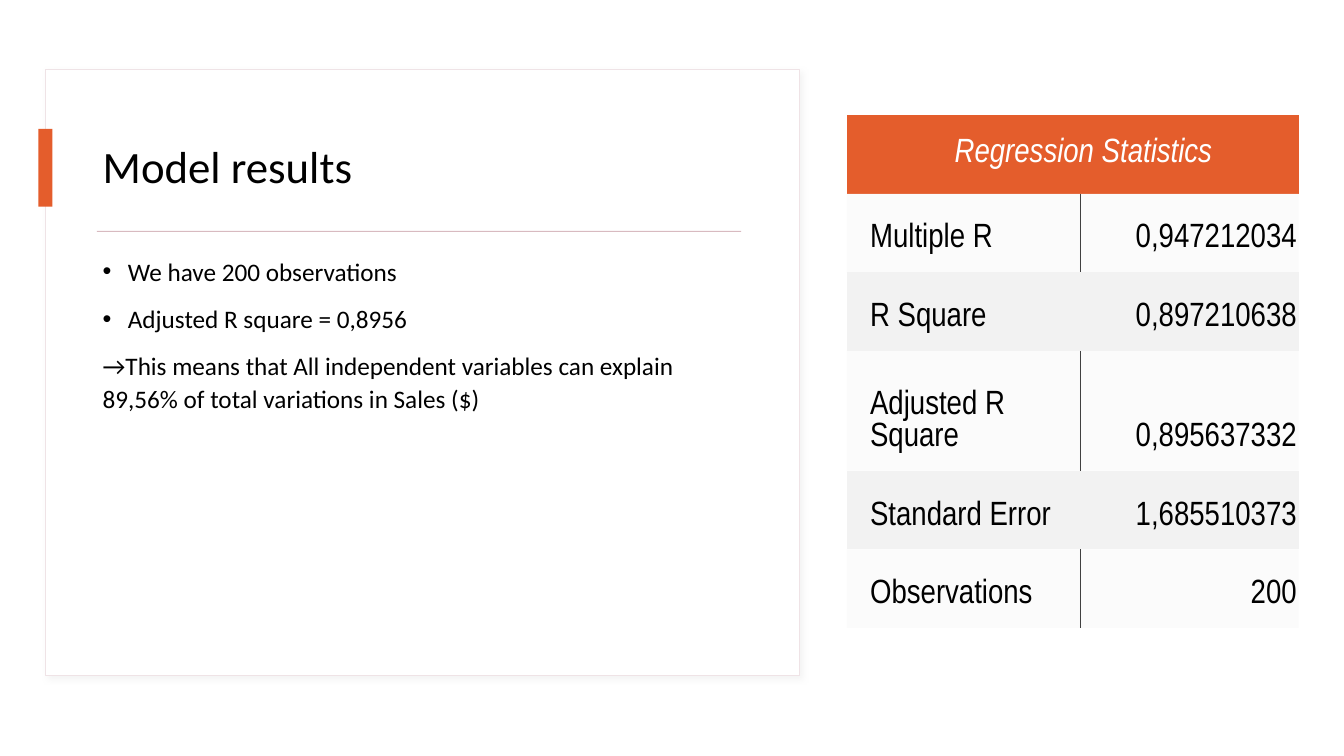
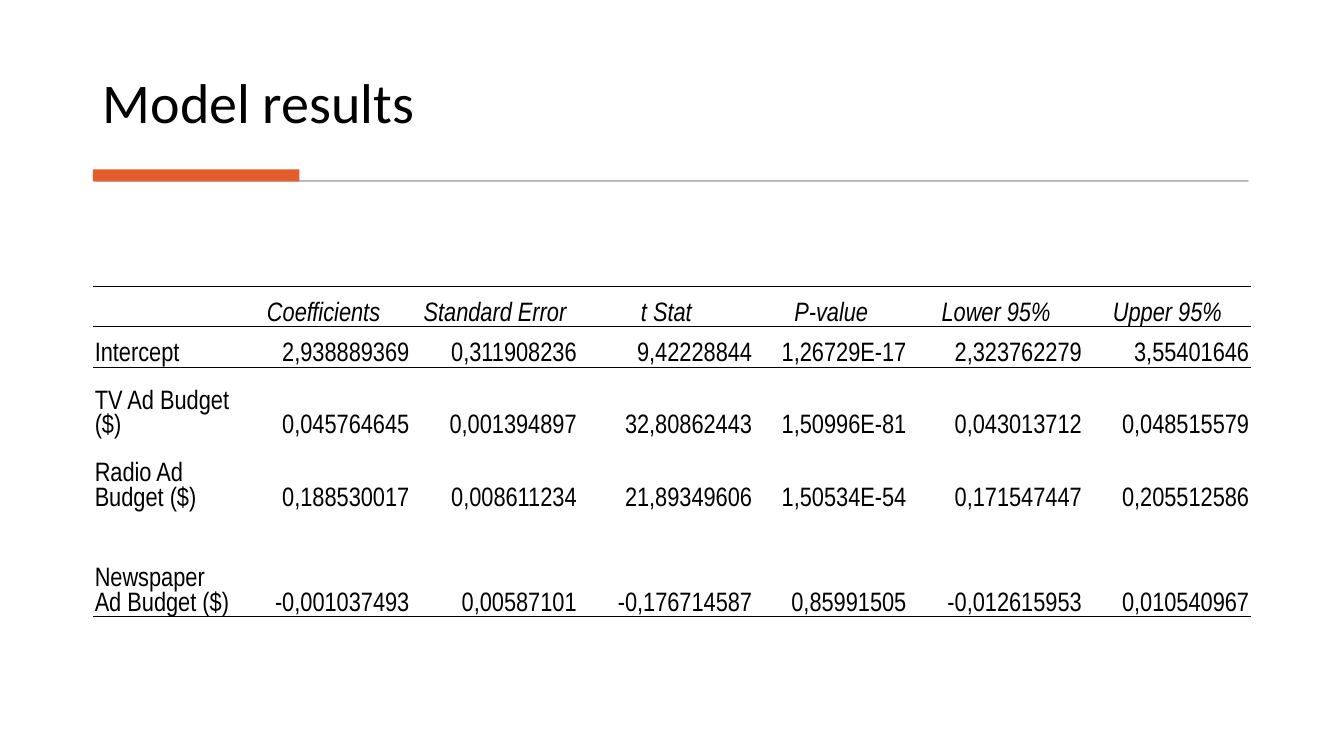
from dataclasses import dataclass
from typing import Optional

from lxml import etree
from pptx import Presentation
from pptx.dml.color import RGBColor
from pptx.enum.shapes import MSO_SHAPE as Shape
from pptx.enum.text import MSO_ANCHOR as Anchor, PP_ALIGN as Align
from pptx.oxml import parse_xml
from pptx.oxml.ns import nsdecls, qn
from pptx.util import Inches, Pt

ACCENT, BLACK, WHITE = "E45D2C", "000000", "FFFFFF"
BAND, CARD_LINE, CARD_RULE = "F2F2F2", "EFE3E6", "D8BAC0"
GREY, DIVIDER, SHADOW = "595959", "404040", "D9D9D9"
TEXT_FONT, TABLE_FONT = "Calibri", "Arial Narrow"
NO_STYLE_NO_GRID = "{2D5ABB26-0587-4C30-8999-92F81FD0307C}"


@dataclass(frozen=True)
class Box:
    left: float
    top: float
    width: float
    height: float

    def emu(self) -> tuple:
        return tuple(Inches(v) for v in (self.left, self.top, self.width, self.height))


@dataclass(frozen=True)
class Paint:
    color: str
    alpha: int = 100


@dataclass(frozen=True)
class Border:
    sides: str
    color: str
    width: float


@dataclass(frozen=True)
class CellStyle:
    align: Align = Align.LEFT
    anchor: Anchor = Anchor.BOTTOM
    color: str = BLACK
    italic: bool = False
    fill: Optional[Paint] = None
    borders: tuple[Border, ...] = ()


@dataclass(frozen=True)
class TableFormat:
    size: float
    margins: tuple[float, float, float, float]  # left, top, right, bottom


def rgb(color: str) -> RGBColor:
    return RGBColor.from_string(color)


def paint(fill, p: Paint) -> None:
    fill.solid()
    fill.fore_color.rgb = rgb(p.color)
    if p.alpha < 100:
        # python-pptx has no alpha property, so it goes on the colour element
        clr = fill._xPr.find(".//" + qn("a:srgbClr"))
        etree.SubElement(clr, qn("a:alpha"), val=str(p.alpha * 1000))


def add_rect(s, box: Box, fill: Paint, line: Optional[Paint] = None):
    sp = s.shapes.add_shape(Shape.RECTANGLE, *box.emu())
    sp.shadow.inherit = False
    paint(sp.fill, fill)
    if line:
        sp.line.width = Pt(0.75)
        paint(sp.line.fill, line)
    else:
        sp.line.fill.background()
    return sp


def add_soft_shadow(sp) -> None:
    effects = sp._element.spPr.find(qn("a:effectLst"))
    effects.append(parse_xml(
        f'<a:outerShdw {nsdecls("a")} blurRad="{Pt(4)}" dist="{Pt(3)}" dir="2700000" '
        f'algn="tl" rotWithShape="0"><a:srgbClr val="{SHADOW}">'
        '<a:alpha val="30000"/></a:srgbClr></a:outerShdw>'))


def add_run(p, text: str, font: str, size: float, color: str = BLACK,
            italic: bool = False) -> None:
    r = p.add_run()
    r.text = text
    r.font.name, r.font.size, r.font.italic = font, Pt(size), italic
    r.font.color.rgb = rgb(color)


def add_text_frame(s, box: Box, anchor: Anchor):
    tf = s.shapes.add_textbox(*box.emu()).text_frame
    tf.word_wrap = True
    tf.vertical_anchor = anchor
    return tf


def add_title(s, text: str, box: Box, size: float, anchor: Anchor) -> None:
    p = add_text_frame(s, box, anchor).paragraphs[0]
    p.line_spacing = 0.9
    add_run(p, text, TEXT_FONT, size)


def add_bullet(p) -> None:
    pPr = p._p.get_or_add_pPr()
    pPr.set("marL", str(Inches(0.25)))
    pPr.set("indent", str(-Inches(0.25)))
    pPr.append(parse_xml(f'<a:buFont {nsdecls("a")} typeface="Arial"/>'))
    pPr.append(parse_xml(f'<a:buChar {nsdecls("a")} char="•"/>'))


def add_body(s, box: Box, bullets: list[str], conclusion: str) -> None:
    tf = add_text_frame(s, box, Anchor.TOP)
    for i, text in enumerate([*bullets, conclusion]):
        p = tf.paragraphs[0] if i == 0 else tf.add_paragraph()
        p.line_spacing = 1.1
        p.space_before = Pt(10)
        if i < len(bullets):
            add_bullet(p)
        add_run(p, text, TEXT_FONT, 18)


def set_borders(cell, borders: tuple[Border, ...]) -> None:
    """Put the border lines before the fill, in the order L, R, T, B."""
    tcPr = cell._tc.get_or_add_tcPr()
    by_side = {side: b for b in borders for side in b.sides}
    lines = [parse_xml(
        f'<a:ln{side} {nsdecls("a")} w="{Pt(by_side[side].width)}"><a:solidFill>'
        f'<a:srgbClr val="{by_side[side].color}"/></a:solidFill></a:ln{side}>')
        for side in "LRTB" if side in by_side]
    for i, line in enumerate(lines):
        tcPr.insert(i, line)


def fill_cell(cell, text: str, style: CellStyle, fmt: TableFormat) -> None:
    (cell.margin_left, cell.margin_top,
     cell.margin_right, cell.margin_bottom) = (Inches(m) for m in fmt.margins)
    cell.vertical_anchor = style.anchor
    if style.fill:
        paint(cell.fill, style.fill)
    else:
        cell.fill.background()
    set_borders(cell, style.borders)
    p = cell.text_frame.paragraphs[0]
    p.alignment = style.align
    if text:
        add_run(p, text, TABLE_FONT, fmt.size, style.color, style.italic)


def add_table(s, left: float, top: float, widths: list[float], heights: list[float]):
    box = Box(left, top, sum(widths), sum(heights))
    table = s.shapes.add_table(len(heights), len(widths), *box.emu()).table
    table.first_row = table.horz_banding = False
    table._tbl.tblPr.find(qn("a:tableStyleId")).text = NO_STYLE_NO_GRID
    for col, w in zip(table.columns, widths):
        col.width = Inches(w)
    for row, h in zip(table.rows, heights):
        row.height = Inches(h)
    return table


def add_statistics_table(s) -> None:
    stats = [("Multiple R", "0,947212034"), ("R Square", "0,897210638"),
             ("Adjusted R Square", "0,895637332"), ("Standard Error", "1,685510373"),
             ("Observations", "200")]
    fmt = TableFormat(24, (0.23, 0.17, 0.02, 0.17))
    table = add_table(s, 8.4, 1.14, [2.31, 2.17], [0.78, 0.78, 0.78, 1.19, 0.78, 0.78])
    header = table.cell(0, 0)
    header.merge(table.cell(0, 1))
    fill_cell(header, "Regression Statistics",
              CellStyle(Align.CENTER, Anchor.MIDDLE, WHITE, True, Paint(ACCENT)), fmt)
    columns = ((Align.LEFT, "R"), (Align.RIGHT, "L"))
    for i, row in enumerate(stats, start=1):
        light = i % 2 == 1
        for j, (align, inner_side) in enumerate(columns):
            style = CellStyle(
                align, fill=Paint(BAND, 30 if light else 100),
                borders=(Border(inner_side, DIVIDER, 0.5),) if light else ())
            fill_cell(table.cell(i, j), row[j], style, fmt)


def add_coefficients_table(s) -> None:
    rows = [
        ("", "Coefficients", "Standard Error", "t Stat", "P-value", "Lower 95%", "Upper 95%"),
        ("Intercept", "2,938889369", "0,311908236", "9,42228844", "1,26729E-17",
         "2,323762279", "3,55401646"),
        ("TV Ad Budget ($)", "0,045764645", "0,001394897", "32,80862443", "1,50996E-81",
         "0,043013712", "0,048515579"),
        ("Radio Ad Budget ($)", "0,188530017", "0,008611234", "21,89349606", "1,50534E-54",
         "0,171547447", "0,205512586"),
        ("Newspaper Ad Budget ($)", "-0,001037493", "0,00587101", "-0,176714587",
         "0,85991505", "-0,012615953", "0,010540967"),
    ]
    thick, thin = 1, 0.5
    row_borders = {
        0: (Border("T", BLACK, thick), Border("B", BLACK, thin)),
        1: (Border("T", BLACK, thin),),
        len(rows) - 1: (Border("B", BLACK, thick),),
    }
    fmt = TableFormat(19, (0.02, 0.02, 0.02, 0))
    table = add_table(s, 0.92, 2.84, [1.42, 1.74, 1.66, 1.74, 1.53, 1.74, 1.66],
                      [0.4, 0.4, 0.72, 0.72, 1.04])
    for i, row in enumerate(rows):
        for j, text in enumerate(row):
            align = Align.CENTER if i == 0 else Align.RIGHT if j else Align.LEFT
            style = CellStyle(align, italic=i == 0, borders=row_borders.get(i, ()))
            fill_cell(table.cell(i, j), text, style, fmt)


def build_summary_slide(s) -> None:
    card = add_rect(s, Box(0.45, 0.69, 7.48, 6.01), Paint(WHITE), Paint(CARD_LINE))
    add_soft_shadow(card)
    add_title(s, "Model results", Box(0.92, 1.07, 6.55, 1.21), 32, Anchor.MIDDLE)
    add_rect(s, Box(0.38, 1.28, 0.14, 0.77), Paint(ACCENT))
    add_rect(s, Box(0.96, 2.29, 6.39, 0.01), Paint(CARD_RULE))
    add_body(s, Box(0.92, 2.46, 6.55, 3.89),
             ["We have 200 observations", "Adjusted R square = 0,8956"],
             "→This means that All independent variables can explain "
             "89,56% of total variations in Sales ($)")
    add_statistics_table(s)


def build_coefficients_slide(s) -> None:
    add_title(s, "Model results", Box(0.92, 0.28, 11.49, 1.11), 40, Anchor.BOTTOM)
    add_rect(s, Box(0.95, 1.79, 11.43, 0.01), Paint(GREY, 30), Paint(GREY, 30))
    add_rect(s, Box(0.92, 1.68, 2.05, 0.12), Paint(ACCENT))
    add_coefficients_table(s)


def main() -> None:
    prs = Presentation()
    prs.slide_width, prs.slide_height = Inches(13.33), Inches(7.5)
    blank = prs.slide_layouts[6]
    for build in (build_summary_slide, build_coefficients_slide):
        build(prs.slides.add_slide(blank))
    prs.save("out.pptx")


if __name__ == "__main__":
    main()
